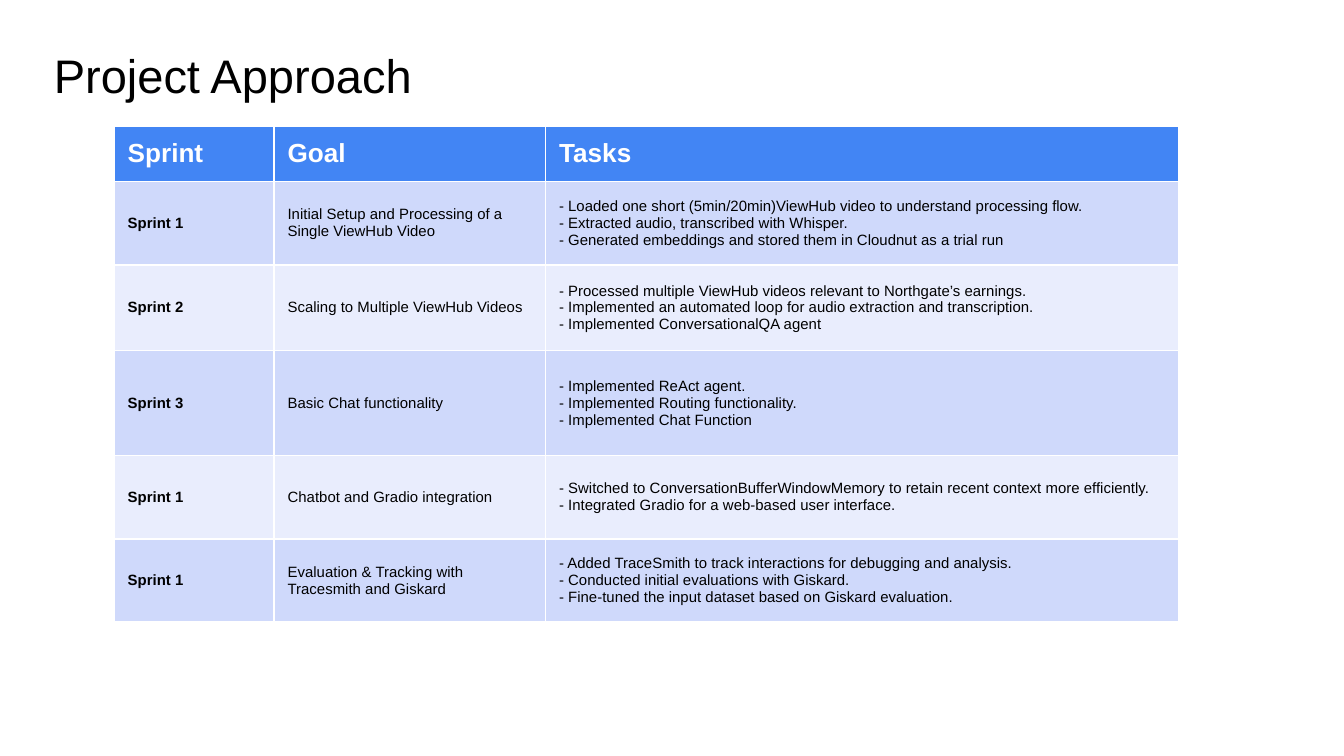
from lxml import etree
from pptx import Presentation
from pptx import util as u
from pptx.dml.color import RGBColor
from pptx.enum import text
from pptx.oxml import ns

FONT = "Arial"
COLORS = {
    "ink": "000000",
    "paper": "FFFFFF",
    "header": "4285F4",
    "odd": "CFD9FB",
    "even": "E9EDFD",
}

# Table grid, in inches
TABLE_LEFT, TABLE_TOP = 0.85, 0.94
COLUMNS = [1.19, 2.02, 4.71]
ROWS = [0.41, 0.62, 0.64, 0.78, 0.62, 0.62]

# Tasks are paragraphs, each a list of lines
HEADINGS = ("Sprint", "Goal", [["Tasks"]])
SPRINTS = [
    ("Sprint 1", "Initial Setup and Processing of a Single ViewHub Video", [
        ["- Loaded one short (5min/20min)ViewHub video to understand processing flow. ",
         "- Extracted audio, transcribed with Whisper."],
        ["- Generated embeddings and stored them in Cloudnut as a trial run"]]),
    ("Sprint 2", "Scaling to Multiple ViewHub Videos", [
        ["- Processed multiple ViewHub videos relevant to Northgate’s earnings. ",
         "- Implemented an automated loop for audio extraction and transcription.",
         "- Implemented ConversationalQA agent"]]),
    ("Sprint 3", "Basic Chat functionality", [
        ["- Implemented ReAct agent. ",
         "- Implemented Routing functionality."],
        ["- Implemented Chat Function"]]),
    ("Sprint 1", "Chatbot and Gradio integration", [
        ["- Switched to ConversationBufferWindowMemory to retain recent context more efficiently. ",
         "- Integrated Gradio for a web-based user interface."]]),
    ("Sprint 1", "Evaluation & Tracking with Tracesmith and Giskard", [
        ["- Added TraceSmith to track interactions for debugging and analysis. ",
         "- Conducted initial evaluations with Giskard.",
         "- Fine-tuned the input dataset based on Giskard evaluation."]]),
]


def color(name):
    return RGBColor.from_string(COLORS[name])


def style_paragraph(paragraph, size, ink, bold=False):
    paragraph.alignment = text.PP_ALIGN.LEFT
    font = paragraph.font
    font.name, font.size, font.bold = FONT, u.Pt(size), bold
    font.color.rgb = color(ink)


def add_title(slide, wording):
    title = slide.shapes.title
    title.left, title.top = u.Inches(0.3), u.Inches(0.24)
    title.width, title.height = u.Inches(9.32), u.Inches(0.63)
    frame = title.text_frame
    frame.text = wording
    frame.auto_size = text.MSO_AUTO_SIZE.NONE
    frame.vertical_anchor = text.MSO_ANCHOR.MIDDLE
    frame.margin_left = frame.margin_right = u.Inches(0.1)
    frame.margin_top = frame.margin_bottom = u.Inches(0.1)
    style_paragraph(frame.paragraphs[0], 25.2, "ink")


def set_borders(cell):
    """Draw white cell borders; the line elements precede the fill."""
    properties = cell._tc.get_or_add_tcPr()
    for position, side in enumerate(("lnL", "lnR", "lnT", "lnB")):
        line = etree.Element(ns.qn(f"a:{side}"), w=str(u.Pt(1)))
        fill = etree.SubElement(line, ns.qn("a:solidFill"))
        etree.SubElement(fill, ns.qn("a:srgbClr"), val=COLORS["paper"])
        properties.insert(position, line)


def fill_cell(cell, wording, fill, size, ink, bold):
    cell.text = wording
    cell.vertical_anchor = text.MSO_ANCHOR.MIDDLE
    cell.fill.solid()
    cell.fill.fore_color.rgb = color(fill)
    for paragraph in cell.text_frame.paragraphs:
        style_paragraph(paragraph, size, ink, bold)
    set_borders(cell)


def add_sprint_table(slide):
    table = slide.shapes.add_table(
        len(ROWS), len(COLUMNS), u.Inches(TABLE_LEFT), u.Inches(TABLE_TOP),
        u.Inches(sum(COLUMNS)), u.Inches(sum(ROWS))).table
    for column, width in zip(table.columns, COLUMNS):
        column.width = u.Inches(width)
    for row, height in zip(table.rows, ROWS):
        row.height = u.Inches(height)

    for index, (sprint, goal, tasks) in enumerate([HEADINGS, *SPRINTS]):
        task_text = "\n".join("\v".join(lines) for lines in tasks)
        for column, wording in enumerate((sprint, goal, task_text)):
            cell = table.cell(index, column)
            if index == 0:
                fill_cell(cell, wording, "header", 14, "paper", True)
            else:
                band = "odd" if index % 2 else "even"
                fill_cell(cell, wording, band, 8, "ink", column == 0)


def main():
    deck = Presentation()
    deck.slide_width = u.Inches(10)
    deck.slide_height = deck.slide_width * 9 // 16
    slide = deck.slides.add_slide(deck.slide_layouts[5])  # Title Only
    add_title(slide, "Project Approach")
    add_sprint_table(slide)
    deck.save("out.pptx")


if __name__ == "__main__":
    main()
